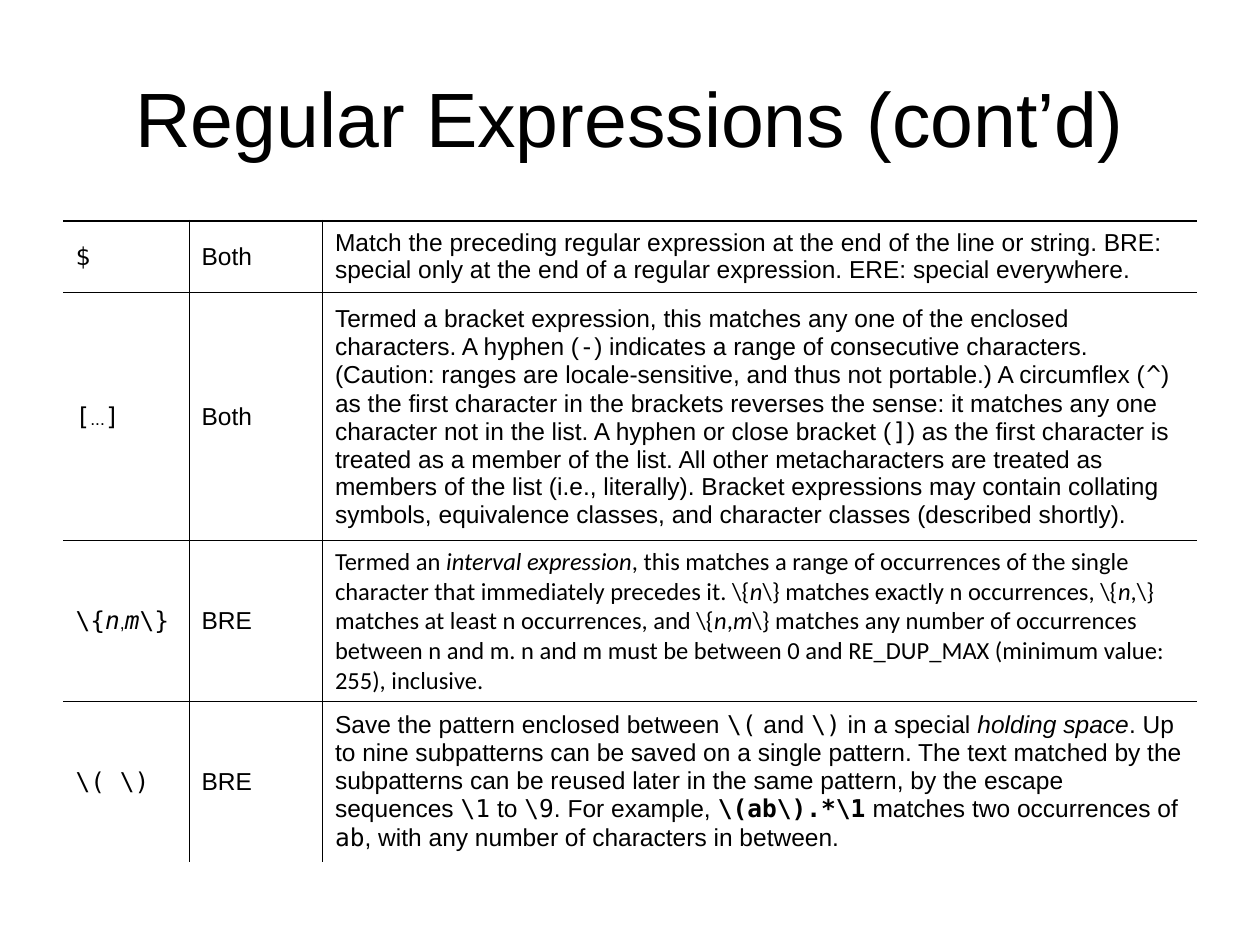
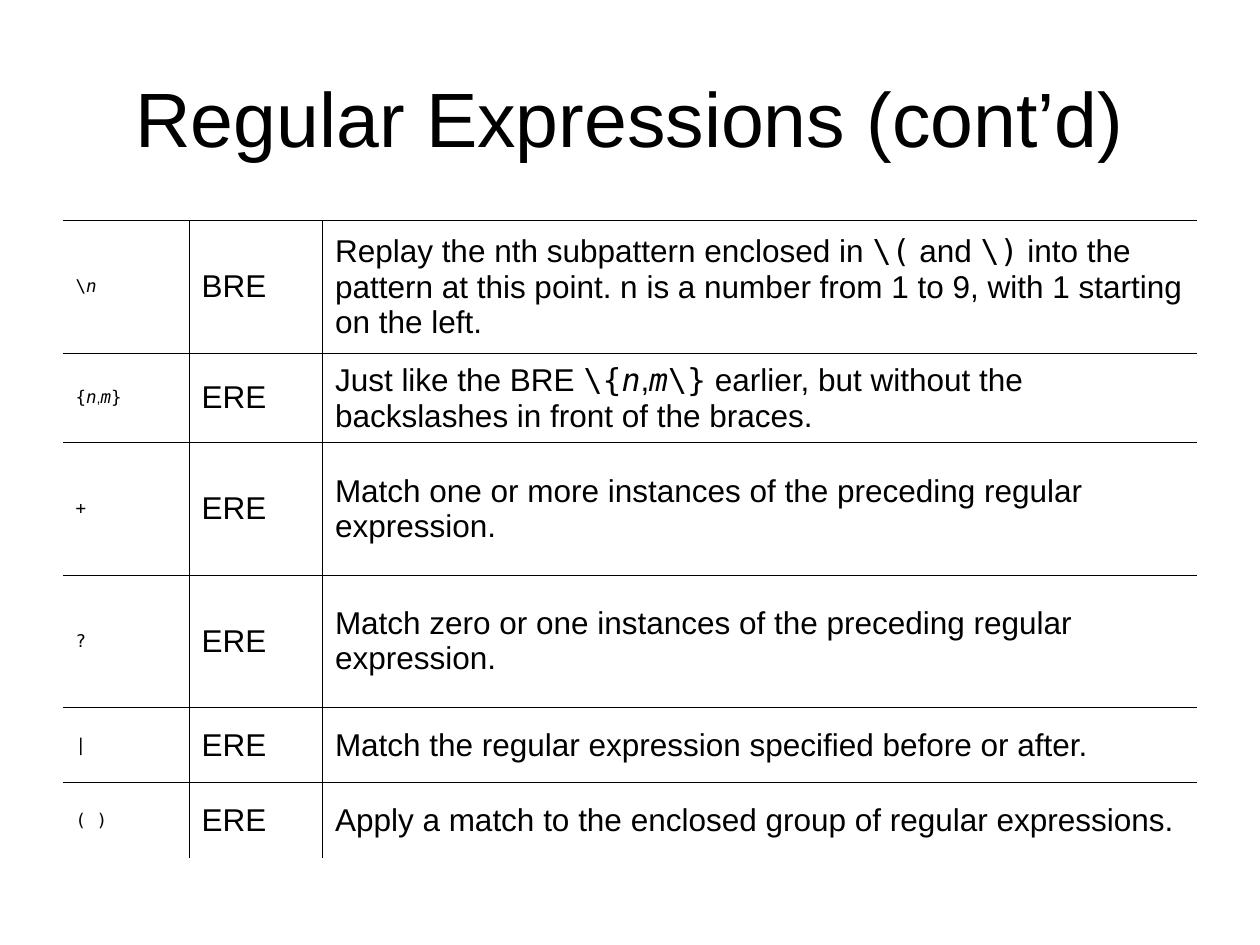
from pptx import Presentation
from pptx import util as u
from pptx.dml.color import RGBColor
from pptx.enum import text
from pptx.oxml import parse_xml
from pptx.oxml.ns import nsdecls

BLACK = RGBColor(0x00, 0x00, 0x00)
SANS, MONO, BODY = "Arial", "DejaVu Sans Mono", "Calibri"
TITLE = "Regular Expressions (cont’d)"
TITLE_BOX = (1.27, 0.76, 22.86, 3.18)
GRID_BOX = (1.27, 4.45, 22.86)
COLS = (2.54, 2.69, 17.63)
THIN, THICK = 0.45, 1.08

# Marks that switch a style on and off: ` mono, ~ italic, # bold, @ small.
MARKS = "`~#@"

# Each row: height in cm, symbol, kind, meaning, font of the meaning.
BASIC = [
    (1.45, "`$`", "Both",
     "Match the preceding regular expression at the end of the line or "
     "string. BRE: special only at the end of a regular expression. ERE: "
     "special everywhere.", SANS),
    (5.0, "`[`@...@`]`", "Both",
     "Termed a bracket expression, this matches any one of the enclosed "
     "characters. A hyphen (`-`) indicates a range of consecutive "
     "characters. (Caution: ranges are locale-sensitive, and thus not "
     "portable.) A circumflex (`^`) as the first character in the brackets "
     "reverses the sense: it matches any one character not in the list. A "
     "hyphen or close bracket (`]`) as the first character is treated as a "
     "member of the list. All other metacharacters are treated as members "
     "of the list (i.e., literally). Bracket expressions may contain "
     "collating symbols, equivalence classes, and character classes "
     "(described shortly).", SANS),
    (3.23, r"`\{~n~`@,@`~m~\}`", "BRE",
     r"Termed an ~interval expression~, this matches a range of occurrences "
     r"of the single character that immediately precedes it. \{~n~\} matches "
     r"exactly n occurrences, \{~n~,\} matches at least n occurrences, and "
     r"\{~n~,~m~\} matches any number of occurrences between n and m. n and "
     r"m must be between 0 and RE_DUP_MAX (minimum value: 255), inclusive.",
     BODY),
    (3.25, r"`\( \)`", "BRE",
     r"Save the pattern enclosed between `\(` and `\)` in a special ~holding "
     r"space~. Up to nine subpatterns can be saved on a single pattern. The "
     r"text matched by the subpatterns can be reused later in the same "
     r"pattern, by the escape sequences `\1` to `\9`. For example, "
     r"`#\(ab\).*\1#` matches two occurrences of `ab`, with any number of "
     r"characters in between.", SANS),
]
EXTRA = [
    (2.67, r"`\~n~`", "BRE",
     r"Replay the nth subpattern enclosed in `\(` and `\)` into the pattern "
     r"at this point. n is a number from 1 to 9, with 1 starting on the "
     r"left.", SANS),
    (1.8, "`{~n~`@,@`~m~}`", "ERE",
     r"Just like the BRE `\{~n~`,`~m~\}` earlier, but without the "
     r"backslashes in front of the braces.", SANS),
    (2.67, "`+`", "ERE", "Match one or more instances of the preceding "
     "regular expression.", SANS),
    (2.67, "`?`", "ERE", "Match zero or one instances of the preceding "
     "regular expression.", SANS),
    (1.52, "`|`", "ERE", "Match the regular expression specified before or "
     "after.", SANS),
    (1.52, "`( )`", "ERE", "Apply a match to the enclosed group of regular "
     "expressions.", SANS),
]


def split(marked):
    """Yield each piece of a marked string with its active marks."""
    on, piece = set(), ""
    for char in marked:
        if char in MARKS:
            if piece:
                yield piece, frozenset(on)
            on ^= {char}
            piece = ""
        else:
            piece += char
    if piece:
        yield piece, frozenset(on)


def write(para, marked, size, small, face=SANS):
    """Add styled runs for a marked string."""
    for piece, on in split(marked):
        run = para.add_run()
        run.text = piece
        font = run.font
        font.name = MONO if "`" in on else face
        font.size = u.Pt(small if "@" in on else size)
        font.italic = "~" in on
        font.bold = "#" in on
        font.color.rgb = BLACK


def edge(cell, side, width):
    """Draw one cell border, or clear it when the width is 0."""
    fill = (f'<a:solidFill><a:srgbClr val="{BLACK}"/></a:solidFill>'
            if width else "<a:noFill/>")
    cell._tc.get_or_add_tcPr().append(parse_xml(
        f'<a:ln{side} {nsdecls("a")} w="{int(u.Pt(width))}">{fill}</a:ln{side}>'))


def head(slide, box):
    """Place the centred slide title in its box."""
    frame = slide.shapes.add_textbox(*map(u.Cm, box)).text_frame
    frame.word_wrap = True
    frame.vertical_anchor = text.MSO_ANCHOR.MIDDLE
    para = frame.paragraphs[0]
    para.alignment = text.PP_ALIGN.CENTER
    write(para, TITLE, 44, 44)


def grid(slide, box, rows, sizes, top):
    """Place the table of symbols; sizes are symbol, text and small."""
    left, y, width = box
    high = sum(row[0] for row in rows)
    table = slide.shapes.add_table(
        len(rows), len(COLS), *map(u.Cm, (left, y, width, high))).table
    table.first_row = table.horz_banding = False
    for col, wide in zip(table.columns, COLS):
        col.width = u.Cm(wide)
    sign, size, small = sizes
    for r, (tall, *words, face) in enumerate(rows):
        table.rows[r].height = u.Cm(tall)
        for c, word in enumerate(words):
            cell = table.cell(r, c)
            cell.vertical_anchor = text.MSO_ANCHOR.MIDDLE
            edge(cell, "L", THIN if c else 0)
            edge(cell, "R", THIN if c < len(COLS) - 1 else 0)
            edge(cell, "T", THIN if r else top)
            edge(cell, "B", THIN if r < len(rows) - 1 else 0)
            cell.fill.background()
            write(cell.text_frame.paragraphs[0], word, size if c else sign,
                  small if c == 0 else size, face if c == 2 else SANS)


def page(deck, rows, sizes, top):
    """Add one slide with the title and a table."""
    slide = deck.slides.add_slide(deck.slide_layouts[6])
    head(slide, TITLE_BOX)
    grid(slide, GRID_BOX, rows, sizes, top)


deck = Presentation()
deck.slide_width, deck.slide_height = u.Cm(25.4), u.Cm(19.05)
page(deck, BASIC, (14, 14, 10), THICK)
page(deck, EXTRA, (10, 18, 8), THIN)
deck.save("out.pptx")
